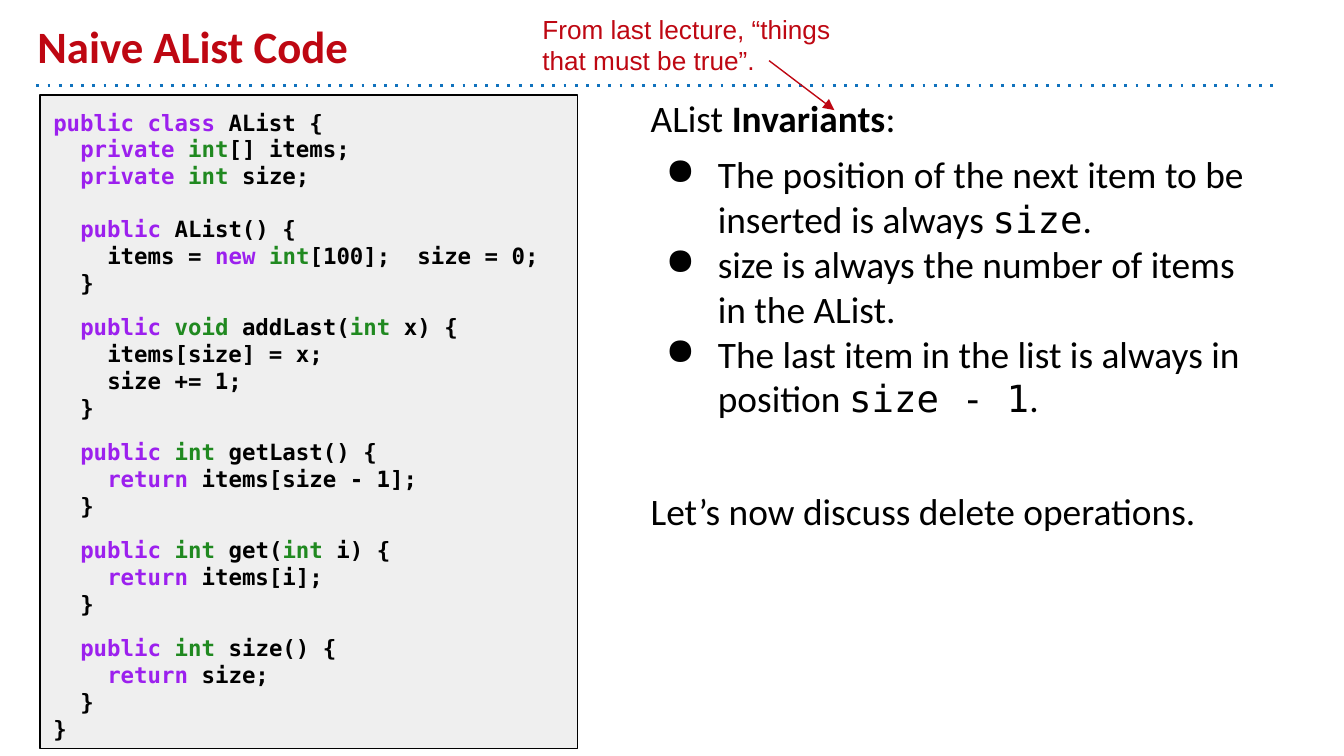
"""Build a slide that sets the AList code beside its invariants."""
from dataclasses import dataclass
from itertools import groupby

from lxml.etree import SubElement as Sub
from pptx import Presentation
from pptx.dml.color import RGBColor as Rgb
from pptx.enum.shapes import MSO_CONNECTOR as Conn, MSO_SHAPE as Shape
from pptx.enum.text import MSO_ANCHOR as Anchor, PP_ALIGN as Align
from pptx.oxml.ns import qn
from pptx.util import Pt


@dataclass(frozen=True)
class Theme:
    red: str = "BE0712"
    blue: str = "1072BD"
    black: str = "000000"
    panel: str = "EFEFEF"
    word: str = "9C20EE"
    kind: str = "208920"
    sans: str = "Calibri"
    note: str = "Arial"
    mono: str = "DejaVu Sans Mono"
    head: float = 24
    body: float = 20
    small: float = 14
    code: float = 12


THEME = Theme()
INSET = 7.2
STEP = 14.45
WORDS = {"public", "class", "private", "new", "return"}
KINDS = {"int", "void"}
CODE = """\
public class AList {
  private int[] items;
  private int size;

  public AList() {
    items = new int[100];  size = 0;
  }

  public void addLast(int x) {
    items[size] = x;
    size += 1;
  }

  public int getLast() {
    return items[size - 1];
  }

  public int get(int i) {
    return items[i];
  }

  public int size() {
    return size;
  }
}"""
POINTS = [
    ("The position of the next item to be inserted is always ", "size", "."),
    ("size is always the number of items in the AList.",),
    ("The last item in the list is always in position ", "size - 1", "."),
]


def style(font, name, size, color, bold=False):
    font.name, font.size, font.bold = name, Pt(size), bold
    font.color.rgb = Rgb.from_string(color)


def setup(shape, anchor=Anchor.TOP):
    frame = shape.text_frame
    frame.word_wrap = True
    frame.vertical_anchor = anchor
    frame.margin_left = frame.margin_right = Pt(INSET)
    frame.margin_top = frame.margin_bottom = Pt(INSET)
    return frame


def add_box(slide, area, anchor=Anchor.TOP):
    return setup(slide.shapes.add_textbox(*map(Pt, area)), anchor)


def add_para(frame, first=False, gap=0):
    para = frame.paragraphs[0] if first else frame.add_paragraph()
    para.alignment = Align.LEFT
    para.space_before = Pt(gap)
    return para


def add_run(para, text):
    run = para.add_run()
    run.text = text
    return run


def add_label(slide, area, text, name, size, bold=False, anchor=Anchor.TOP):
    para = add_para(add_box(slide, area, anchor), first=True)
    style(para.font, name, size, THEME.red, bold)
    add_run(para, text)


def add_line(slide, start, end, color, width, tag, **attrs):
    line = slide.shapes.add_connector(Conn.STRAIGHT, *map(Pt, start + end))
    line.line.color.rgb = Rgb.from_string(color)
    line.line.width = Pt(width)
    props = line._element.spPr
    Sub(props.find(qn("a:ln")), qn(tag), **attrs)
    Sub(props, qn("a:effectLst"))


def tint(token):
    if token in WORDS:
        return THEME.word
    return THEME.kind if token in KINDS else THEME.black


def add_code(slide, area):
    panel = slide.shapes.add_shape(Shape.RECTANGLE, *map(Pt, area))
    panel.shadow.inherit = False
    panel.fill.solid()
    panel.fill.fore_color.rgb = Rgb.from_string(THEME.panel)
    panel.line.color.rgb = Rgb.from_string(THEME.black)
    panel.line.width = Pt(0.75)
    frame = setup(panel)
    for block, text in enumerate(CODE.split("\n\n")):
        lead = {0: 0, 1: 14}.get(block, 9.3)
        for row, line in enumerate(text.split("\n")):
            para = add_para(frame, block == row == 0, 0 if row else lead)
            style(para.font, THEME.mono, THEME.code, THEME.black, True)
            bare = line.lstrip()
            depth = (len(line) - len(bare)) // 2
            para._p.get_or_add_pPr().set("marL", str(Pt(depth * STEP)))
            tokens = ["".join(part) for _, part in groupby(bare, str.isalpha)]
            for color, part in groupby(tokens, tint):
                run = add_run(para, "".join(part))
                run.font.color.rgb = Rgb.from_string(color)


def add_bullet(para):
    props = para._p.get_or_add_pPr()
    props.set("marL", str(Pt(36)))
    props.set("indent", str(Pt(-28)))
    mark = Sub(props, qn("a:buChar"), char="●")
    font = props.find(qn("a:defRPr"))
    if font is not None:
        font.addprevious(mark)


def add_body(slide, area):
    frame = add_box(slide, area)
    intro = add_para(frame, first=True, gap=6)
    style(intro.font, THEME.sans, THEME.body, THEME.black)
    add_run(intro, "AList ")
    add_run(intro, "Invariants").font.bold = True
    add_run(intro, ":")
    for spot, parts in enumerate(POINTS):
        para = add_para(frame, gap=0 if spot else 6)
        style(para.font, THEME.sans, THEME.body, THEME.black)
        add_bullet(para)
        for order, text in enumerate(parts):
            run = add_run(para, text)
            if order == 1:
                run.font.name = THEME.mono
    close = add_para(frame, gap=36.4)
    style(close.font, THEME.sans, THEME.body, THEME.black)
    add_run(close, "Let’s now discuss delete operations.")


def main():
    deck = Presentation()
    deck.slide_width, deck.slide_height = Pt(720), Pt(405)
    slide = deck.slides.add_slide(deck.slide_layouts[6])
    add_line(slide, (19.5, 46), (684, 46), THEME.blue, 1.5,
             "a:prstDash", val="dot")
    add_label(slide, (13, 7, 648, 39), "Naive AList Code",
              THEME.sans, THEME.head, True, Anchor.BOTTOM)
    add_code(slide, (21.5, 51, 288, 350))
    add_body(slide, (341.5, 44, 343, 327))
    add_line(slide, (412, 32.5), (447, 59), THEME.red, 0.75,
             "a:tailEnd", type="triangle")
    add_label(slide, (283.5, 0, 172, 39),
              "From last lecture, “things that must be true”.",
              THEME.note, THEME.small)
    deck.save("out.pptx")


if __name__ == "__main__":
    main()
